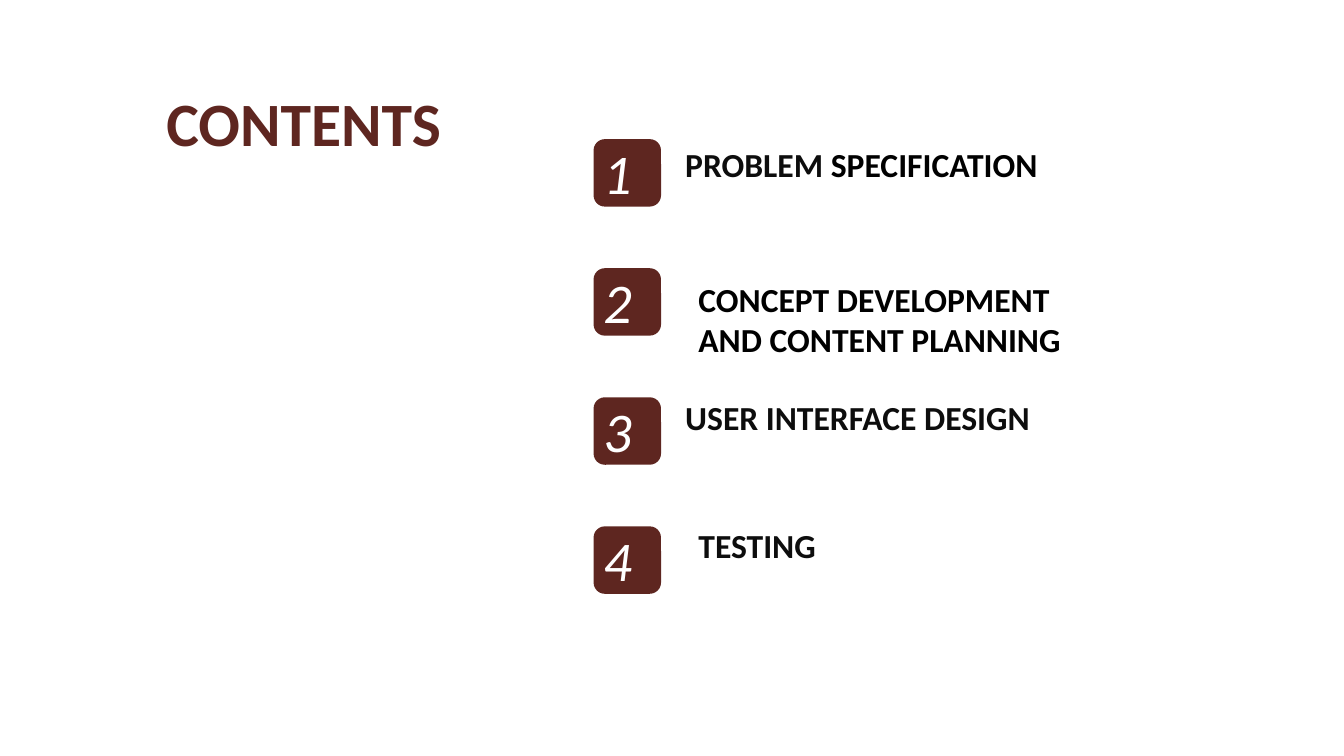
from dataclasses import dataclass

from pptx import Presentation
from pptx.dml.color import RGBColor
from pptx.enum.shapes import MSO_SHAPE
from pptx.enum.text import MSO_ANCHOR as Anchor, MSO_AUTO_SIZE as AutoSize, PP_ALIGN as Align
from pptx.shapes.autoshape import Shape
from pptx.slide import Slide
from pptx.util import Pt

MAROON = RGBColor(0x5E, 0x26, 0x20)
CHARCOAL = RGBColor(0x0D, 0x0D, 0x0D)
BLACK = RGBColor(0, 0, 0)
WHITE = RGBColor(0xFF, 0xFF, 0xFF)

FONT = "Calibri"
BADGE_LEFT = 424
BADGE_TOP = 99.4
BADGE_SIZE = 48.2
BADGE_STEP = 92.2
NUMBER_RISE = 4.3


@dataclass(frozen=True)
class Phrase:
    text: str
    color: RGBColor
    size: float = 24
    bold: bool = True
    italic: bool = False


@dataclass(frozen=True)
class Box:
    left: float
    top: float
    width: float
    height: float


@dataclass(frozen=True)
class Topic:
    box: Box
    lines: tuple[tuple[Phrase, ...], ...]


TOPICS = (
    Topic(Box(482.4, 99.4, 331.2, 36),
          ((Phrase("PROBLEM ", CHARCOAL), Phrase("SPECIFICATION", BLACK)),)),
    Topic(Box(491.8, 195.8, 321.1, 65.5),
          ((Phrase("CONCEPT DEVELOPMENT", BLACK),),
           (Phrase("AND CONTENT PLANNING", BLACK),))),
    Topic(Box(482.4, 280, 321.1, 36),
          ((Phrase("USER INTERFACE DESIGN", CHARCOAL),),)),
    Topic(Box(491.8, 371.5, 321.1, 36),
          ((Phrase("TESTING", CHARCOAL),),)),
)


def write_lines(shape: Shape, lines: tuple[tuple[Phrase, ...], ...]) -> None:
    frame = shape.text_frame
    frame.word_wrap = True
    frame.auto_size = AutoSize.SHAPE_TO_FIT_TEXT
    frame.vertical_anchor = Anchor.TOP
    for index, line in enumerate(lines):
        paragraph = frame.add_paragraph() if index else frame.paragraphs[0]
        paragraph.alignment = Align.LEFT
        for phrase in line:
            run = paragraph.add_run()
            run.text = phrase.text
            run.font.name = FONT
            run.font.size = Pt(phrase.size)
            run.font.bold = phrase.bold
            run.font.italic = phrase.italic
            run.font.color.rgb = phrase.color


def add_text(slide: Slide, box: Box, lines: tuple[tuple[Phrase, ...], ...]) -> None:
    shape = slide.shapes.add_textbox(
        Pt(box.left), Pt(box.top), Pt(box.width), Pt(box.height))
    write_lines(shape, lines)


def add_heading(slide: Slide) -> None:
    heading = slide.shapes.title
    heading.left, heading.top = Pt(111.6), Pt(56.9)
    heading.width, heading.height = Pt(311), Pt(60.5)
    write_lines(heading, ((Phrase("CONTENTS", MAROON, size=44),),))


def add_badge(slide: Slide, number: int) -> None:
    top = BADGE_TOP + (number - 1) * BADGE_STEP
    badge = slide.shapes.add_shape(
        MSO_SHAPE.ROUNDED_RECTANGLE,
        Pt(BADGE_LEFT), Pt(top), Pt(BADGE_SIZE), Pt(BADGE_SIZE))
    badge.shadow.inherit = False
    badge.fill.solid()
    badge.fill.fore_color.rgb = MAROON
    badge.line.fill.background()
    numeral = Phrase(f"{number}.", WHITE, size=40, bold=False, italic=True)
    add_text(slide, Box(BADGE_LEFT, top - NUMBER_RISE, 38.2, 55.4), ((numeral,),))


def main() -> None:
    deck = Presentation()
    deck.slide_width, deck.slide_height = Pt(960), Pt(540)
    slide = deck.slides.add_slide(deck.slide_layouts[5])
    add_heading(slide)
    for number, topic in enumerate(TOPICS, start=1):
        add_badge(slide, number)
        add_text(slide, topic.box, topic.lines)
    deck.save("out.pptx")


if __name__ == "__main__":
    main()
